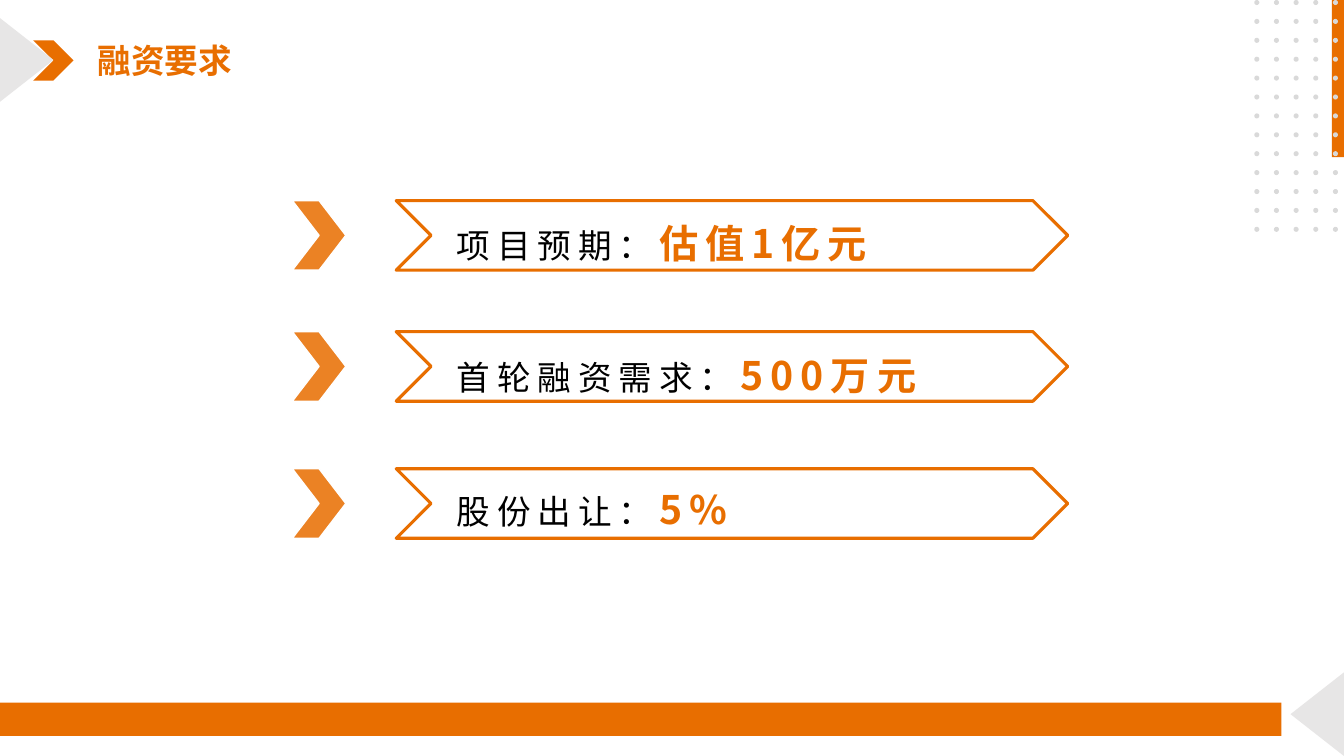
from dataclasses import dataclass

from lxml import etree
from pptx import Presentation
from pptx.dml.color import RGBColor
from pptx.enum import shapes, text
from pptx.oxml import ns
from pptx.util import Inches, Pt

COLORS = {"orange": "E86E00", "gray": "E7E6E6", "dot": "D9D9D9",
          "white": "FFFFFF", "black": "000000"}
FONT = "Noto Sans CJK SC"
KIND = shapes.MSO_SHAPE
DOT_COLUMNS, DOT_ROWS = 5, 13


@dataclass(frozen=True)
class Block:
    kind: shapes.MSO_SHAPE
    left: float
    top: float
    width: float
    height: float
    fill: str
    rotation: int = 0
    opacity: int = 100
    line: str = ""
    line_width: float = 0


@dataclass(frozen=True)
class Requirement:
    label: str
    value: str
    arrow_top: float
    text_top: float
    text_width: float
    text_height: float


FRAME = [
    Block(KIND.CHEVRON, 0.33, 0.4, 0.4, 0.4, "orange"),
    Block(KIND.ISOSCELES_TRIANGLE, -0.15, 0.33, 0.83, 0.53, "gray", rotation=90),
    Block(KIND.ISOSCELES_TRIANGLE, 12.65, 6.82, 0.83, 0.53, "gray", rotation=270),
    Block(KIND.RECTANGLE, 0, 6.97, 12.71, 0.33, "orange"),
    Block(KIND.RECTANGLE, 12.48, 0.71, 1.58, 0.12, "orange", rotation=90),
]
REQUIREMENTS = [
    Requirement("项目预期：", "估值1亿元", 1.99, 1.89, 5, 0.73),
    Requirement("首轮融资需求：", "500万元", 3.29, 3.2, 5.8, 0.81),
    Requirement("股份出让：", "5%", 4.65, 4.53, 4.51, 0.81),
]


def rgb(name: str) -> RGBColor:
    return RGBColor.from_string(COLORS[name])


def draw_block(parent, block: Block) -> None:
    """Add one preset shape to a slide's or a group's shape tree."""
    shape = parent.add_shape(block.kind, Inches(block.left), Inches(block.top),
                             Inches(block.width), Inches(block.height))
    shape.shadow.inherit = False
    shape.rotation = block.rotation
    shape.fill.solid()
    shape.fill.fore_color.rgb = rgb(block.fill)
    if block.opacity < 100:
        color = shape._element.spPr.find(".//" + ns.qn("a:srgbClr"))
        alpha = etree.SubElement(color, ns.qn("a:alpha"))
        alpha.set("val", str(block.opacity * 1000))
    if block.line:
        shape.line.color.rgb = rgb(block.line)
        shape.line.width = Pt(block.line_width)
    else:
        shape.line.fill.background()


def add_paragraph_box(slide, left: float, top: float, width: float, height: float):
    """Add a wrapping text box and return its only paragraph."""
    frame = slide.shapes.add_textbox(Inches(left), Inches(top),
                                     Inches(width), Inches(height)).text_frame
    frame.word_wrap = True
    frame.auto_size = text.MSO_AUTO_SIZE.SHAPE_TO_FIT_TEXT
    return frame.paragraphs[0]


def style_run(run, size: int, color: str, bold: bool = False, spacing: int = 0) -> None:
    """Format a run; spacing is the gap between characters in points."""
    run.font.size = Pt(size)
    run.font.bold = bold
    run.font.color.rgb = rgb(color)
    run.font.name = FONT
    properties = run._r.get_or_add_rPr()
    etree.SubElement(properties, ns.qn("a:ea")).set("typeface", FONT)
    if spacing:
        properties.set("spc", str(spacing * 100))


def draw_dots(slide) -> None:
    dots = slide.shapes.add_group_shape().shapes
    for row in range(DOT_ROWS):
        for column in range(DOT_COLUMNS):
            draw_block(dots, Block(KIND.OVAL, 12.44 + column * 0.195,
                                   row * 0.1875, 0.05, 0.05, "dot"))


def draw_title(slide) -> None:
    title = add_paragraph_box(slide, 0.87, 0.35, 5.59, 0.5)
    title.text = "融资要求"
    style_run(title.runs[0], 24, "orange", bold=True)


def draw_requirement_text(slide, item: Requirement) -> None:
    sentence = add_paragraph_box(slide, 4.43, item.text_top,
                                 item.text_width, item.text_height)
    sentence.line_spacing = 1.5
    sentence.text = item.label
    style_run(sentence.runs[0], 24, "black", spacing=5)
    value = sentence.add_run()
    value.text = item.value
    style_run(value, 28, "orange", bold=True, spacing=5)


def main() -> None:
    deck = Presentation()
    deck.slide_width, deck.slide_height = Inches(13.33), Inches(7.5)
    slide = deck.slides.add_slide(deck.slide_layouts[6])

    for block in FRAME:
        draw_block(slide.shapes, block)
    draw_dots(slide)
    draw_title(slide)
    for item in REQUIREMENTS:
        draw_block(slide.shapes, Block(KIND.CHEVRON, 2.9, item.arrow_top, 0.53, 0.69,
                                       "orange", opacity=86, line="white", line_width=1))
        draw_block(slide.shapes, Block(KIND.CHEVRON, 3.93, item.arrow_top, 6.66, 0.69,
                                       "white", opacity=86, line="orange", line_width=2.25))
        draw_requirement_text(slide, item)

    deck.save("out.pptx")


if __name__ == "__main__":
    main()
